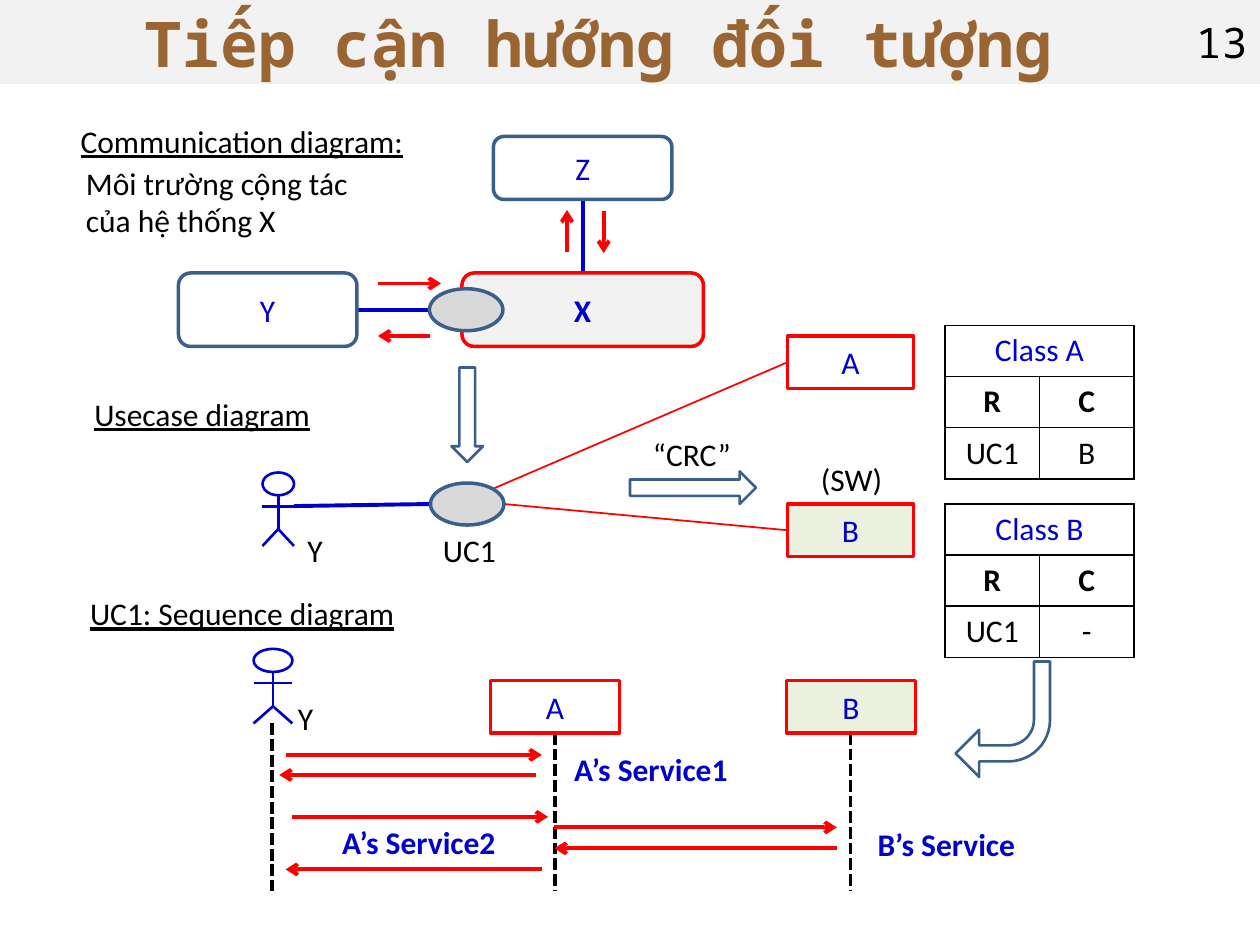
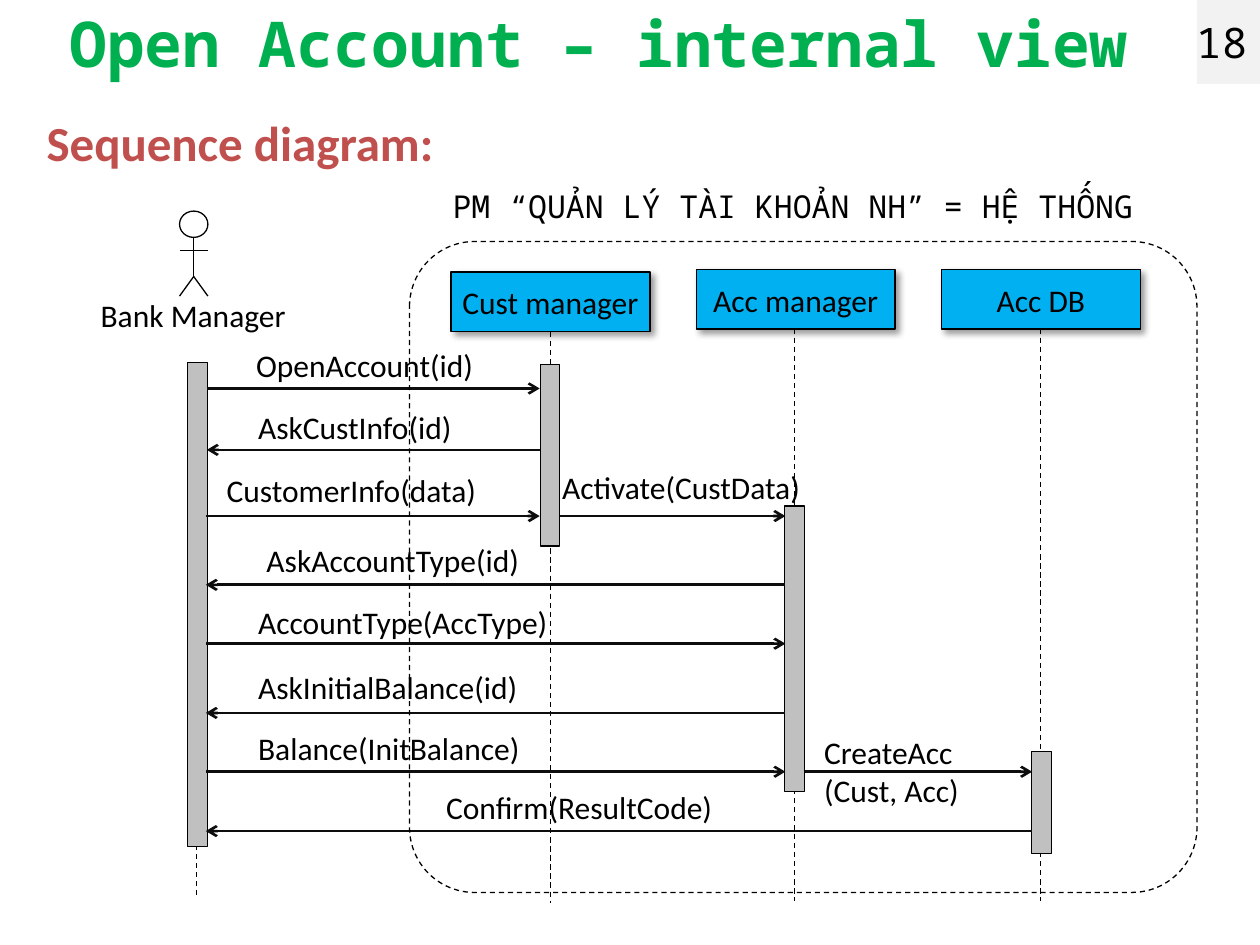
"""Build two slides on object-oriented analysis: a diagram overview and a sequence diagram."""
from lxml import etree
from pptx import Presentation
from pptx.dml.color import RGBColor
from pptx.enum.dml import MSO_LINE
from pptx.enum.shapes import MSO_CONNECTOR, MSO_SHAPE
from pptx.enum.text import MSO_ANCHOR, PP_ALIGN
from pptx.oxml.ns import qn
from pptx.util import Inches, Pt

RECT, ROUND, OVAL = MSO_SHAPE.RECTANGLE, MSO_SHAPE.ROUNDED_RECTANGLE, MSO_SHAPE.OVAL
DOWN, RIGHT, BENT = MSO_SHAPE.DOWN_ARROW, MSO_SHAPE.RIGHT_ARROW, MSO_SHAPE.BENT_ARROW
STRAIGHT = MSO_CONNECTOR.STRAIGHT
DASH, SHORT = MSO_LINE.DASH, MSO_LINE.SQUARE_DOT
LEFT, MID, CORE = PP_ALIGN.LEFT, PP_ALIGN.CENTER, MSO_ANCHOR.MIDDLE


class Theme:
    """Colours, fonts and sizes."""
    black, ink = RGBColor(0, 0, 0), RGBColor.from_string("0D0D0D")
    band, grey = RGBColor.from_string("F2F2F2"), RGBColor.from_string("D9D9D9")
    bar, sky = RGBColor.from_string("C0C0C0"), RGBColor.from_string("00B0F0")
    brown, green = RGBColor.from_string("996633"), RGBColor.from_string("00B050")
    blue, steel = RGBColor.from_string("0000CC"), RGBColor.from_string("3A5F8C")
    red, rust = RGBColor(255, 0, 0), RGBColor.from_string("C0504D")
    mint = RGBColor.from_string("EBF1DE")
    body, mono = "Calibri", "Noto Sans Mono"
    title, head, number, text = 36, 28, 24, 18
    hair, thin, mark, edge, bold = 0.75, 1, 1.5, 2, 2.25


CELL = Inches(1) / 12
COLS, ROWS = 120, 90
BAND = 8


def put(page, kind, box, text="", tone=Theme.black, fill=None, edge=None, wide=Theme.edge,
        size=Theme.text, font=Theme.body, bold=False, under=False, align=MID):
    """Place a shape, or a text box when kind is None; box is in grid cells."""
    x, y, w, h = (round(n * CELL) for n in box)
    if kind is None:
        item = page.shapes.add_textbox(x, y, w, h)
    else:
        item = page.shapes.add_shape(kind, x, y, w, h)
        item.shadow.inherit = False
        item.fill.background()
        if fill is not None:
            item.fill.solid()
            item.fill.fore_color.rgb = fill
        item.line.fill.background()
        if edge is not None:
            item.line.color.rgb = edge
            item.line.width = Pt(wide)
    if text:
        frame = item.text_frame
        frame.word_wrap = True
        if kind is not None:
            frame.margin_left = frame.margin_right = 0
            frame.vertical_anchor = CORE
        for i, words in enumerate(text.split("\n")):
            para = frame.add_paragraph() if i else frame.paragraphs[0]
            para.alignment = align
            run = para.add_run()
            run.text = words
            run.font.name, run.font.size = font, Pt(size)
            run.font.bold, run.font.underline = bold, under
            run.font.color.rgb = tone
    return item


def link(page, ends, tone, wide, dash=None, arrow=False):
    """Draw a line between two points given in grid cells."""
    line = page.shapes.add_connector(STRAIGHT, *(round(n * CELL) for n in ends))
    line.line.color.rgb = tone
    line.line.width = Pt(wide)
    if dash is not None:
        line.line.dash_style = dash
    props = line.element.spPr
    if arrow:
        etree.SubElement(props.find(qn("a:ln")), qn("a:tailEnd"), type="arrow")
    etree.SubElement(props, qn("a:effectLst"))


deck = Presentation()
deck.slide_width, deck.slide_height = round(COLS * CELL), round(ROWS * CELL)
blank = deck.slide_layouts[6]
plan, flow = (deck.slides.add_slide(blank) for _ in range(2))

for page, name, tone, fill, number in (
        (plan, "Tiếp cận hướng đối tượng", Theme.brown, Theme.band, "13"),
        (flow, "Open Account – internal view", Theme.green, None, "18")):
    put(page, RECT, (0, 0, COLS * 0.95, BAND), name, tone, fill,
        size=Theme.title, font=Theme.mono, bold=True)
    put(page, RECT, (COLS * 0.95, 0, COLS * 0.05, BAND), number, fill=Theme.band,
        size=Theme.number, font=Theme.mono, align=LEFT)

for page, x, y, w, h, tone, wide in (
        (plan, 25, 45, 3, 7, Theme.blue, Theme.mark),
        (plan, 24.15, 61.8, 3.7, 7.1, Theme.blue, Theme.mark),
        (flow, 17.1, 20.1, 2.7, 8.1, Theme.black, Theme.hair)):
    mid, neck, arm, hip = x + w / 2, y + 0.31 * h, y + 0.46 * h, y + 0.77 * h
    put(page, OVAL, (x, y, w, neck - y), edge=tone, wide=wide)
    for ends in ((mid, neck, mid, hip), (x, arm, x + w, arm),
                 (mid, hip, x, y + h), (mid, hip, x + w, y + h)):
        link(page, ends, tone, wide)

for ends in ((75, 34.5, 46.95, 46.55), (75, 50.5, 48, 48)):
    link(plan, ends, Theme.red, Theme.thin)
for ends in ((55.5, 19, 55.5, 26), (44, 29.5, 34, 29.5), (41, 48, 28, 48.2)):
    link(plan, ends, Theme.blue, Theme.bold)
for x, y in ((25.95, 68.9), (52.85, 69.8), (81, 69.8)):
    link(plan, (x, y, x, 84.85), Theme.black, Theme.bold, SHORT)

for kind, box, text, fill, edge in (
        (ROUND, (44, 26, 23, 7), "X", Theme.band, Theme.red),
        (ROUND, (47, 13, 17, 6), "Z", None, Theme.steel),
        (ROUND, (17, 26, 17, 7), "Y", None, Theme.steel),
        (OVAL, (40.9, 27.5, 7, 4), "", Theme.grey, Theme.steel),
        (OVAL, (41, 46, 7, 4), "", Theme.grey, Theme.steel),
        (RECT, (75, 32, 12, 5), "A", None, Theme.red),
        (RECT, (75, 48, 12, 5), "B", Theme.mint, Theme.red),
        (RECT, (46.7, 64.8, 12.3, 5), "A", None, Theme.red),
        (RECT, (74.9, 64.8, 12.3, 5), "B", Theme.mint, Theme.red)):
    put(plan, kind, box, text, Theme.blue, fill, edge, bold=text == "X")

for kind, box in ((DOWN, (43, 35, 3, 9)), (RIGHT, (60, 44.9, 12, 3.1)), (BENT, (91, 63, 9, 11))):
    item = put(plan, kind, box, edge=Theme.steel, wide=Theme.mark)
item.rotation = 180
for i, share in enumerate((0.17, 0.25, 0.25, 0.44)):
    item.adjustments[i] = share

for ends in ((36, 27, 42, 27), (41, 32, 36, 32), (54, 24, 54, 20), (57.5, 20.1, 57.5, 24.1),
             (27.2, 71.9, 51.6, 71.9), (51, 73.8, 26.6, 73.8), (27.8, 77.8, 52.2, 77.8),
             (52.8, 78.8, 79.7, 78.8), (79.7, 80.8, 52.8, 80.8), (51.6, 82.8, 27.2, 82.8)):
    link(plan, ends, Theme.red, Theme.bold, arrow=True)

for x, y, text in ((6.5, 11, "Communication diagram:"), (7.8, 37, "Usecase diagram"),
                   (7.4, 56, "UC1: Sequence diagram")):
    put(plan, None, (x, y, 36, 4.8), text, under=True, align=LEFT)
for x, y, w, text in ((7, 15, 29, "Môi trường cộng tác của hệ thống X"), (41, 50, 9, "UC1"),
                      (61, 40.8, 12, "“CRC”"), (77, 43.2, 10, "(SW)"),
                      (28.1, 50, 5, "Y"), (27.2, 66, 5, "Y")):
    put(plan, None, (x, y, w, 4.8), text, align=LEFT)
for x, y, text in ((53.5, 70.8, "A’s Service1"), (31.4, 77.8, "A’s Service2"),
                   (82.4, 78, "B’s Service")):
    put(plan, None, (x, y, 20, 4.8), text, Theme.blue, bold=True, align=LEFT)

for y, name, aid in ((31, "Class A", "B"), (48, "Class B", "-")):
    rows = ((name, ""), ("R", "C"), ("UC1", aid))
    grid = plan.shapes.add_table(3, 2, *(round(n * CELL) for n in (90, y, 18, 14.6))).table
    grid.first_row = grid.horz_banding = False
    grid.cell(0, 0).merge(grid.cell(0, 1))
    for r, row in enumerate(rows):
        for c, text in enumerate(row):
            cell = grid.cell(r, c)
            props = cell._tc.get_or_add_tcPr()
            for side in ("lnL", "lnR", "lnT", "lnB"):
                rule = etree.SubElement(props, qn("a:" + side), w=str(Pt(Theme.thin)))
                paint = etree.SubElement(rule, qn("a:solidFill"))
                etree.SubElement(paint, qn("a:srgbClr"), val=str(Theme.black))
            cell.fill.background()
            if text:
                para = cell.text_frame.paragraphs[0]
                para.alignment = MID
                run = para.add_run()
                run.text = text
                run.font.name, run.font.size = Theme.body, Pt(Theme.text)
                run.font.bold = r == 1
                run.font.color.rgb = Theme.black if r else Theme.blue

for x, top, end in ((18.75, 34.9, 85.3), (52.4, 31.6, 86), (75.7, 31.3, 85.8), (99.1, 31.3, 85.8)):
    link(flow, (x, top, x, end), Theme.black, Theme.hair, DASH)
for box in ((17.85, 34.5, 1.9, 46.1), (51.5, 34.7, 1.8, 17.3),
            (74.75, 48.2, 1.9, 27.2), (98.25, 71.6, 1.9, 9.7)):
    put(flow, RECT, box, fill=Theme.bar, edge=Theme.black, wide=Theme.hair)

for i, (name, y) in enumerate((("Cust manager", 25.9), ("Acc manager", 25.7), ("Acc DB", 25.7))):
    item = put(flow, RECT, (42.95 + 23.35 * i, y, 18.95, 5.65), name, fill=Theme.sky,
               edge=Theme.black, wide=Theme.hair)
    glow = etree.SubElement(item.element.spPr.find(qn("a:effectLst")), qn("a:outerShdw"),
                            blurRad=str(Pt(4)), dist=str(Pt(3)), dir="2700000",
                            algn="tl", rotWithShape="0")
    shade = etree.SubElement(glow, qn("a:srgbClr"), val=str(Theme.black))
    etree.SubElement(shade, qn("a:alpha"), val="40000")

for text, x, y, start, end, row in (
        ("OpenAccount(id)", 23.2, 32.4, 19.7, 51.4, 37),
        ("AskCustInfo(id)", 23.4, 38.3, 51.4, 19.7, 42.85),
        ("CustomerInfo(data)", 20.4, 44.3, 19.6, 51.4, 49.15),
        ("Activate(CustData)", 52.35, 44, 53.3, 74.8, 49.15),
        ("AskAccountType(id)", 24.2, 50.9, 74.8, 19.6, 55.7),
        ("AccountType(AccType)", 23.4, 56.8, 19.6, 74.8, 61.3),
        ("AskInitialBalance(id)", 23.4, 63, 74.8, 19.6, 67.9),
        ("Balance(InitBalance)", 23.4, 68.8, 19.6, 74.8, 73.5),
        ("CreateAcc\n(Cust, Acc)", 77.3, 69.2, 76.7, 98.3, 73.5),
        ("Confirm(ResultCode)", 41.3, 74.5, 98.3, 19.6, 79.15)):
    put(flow, None, (x, y, 34, 4.8), text, align=LEFT)
    link(flow, (start, row, end, row), Theme.ink, Theme.mark, arrow=True)

put(flow, None, (8.4, 27.6, 22.4, 4.8), "Bank Manager", align=LEFT)
put(flow, None, (3, 10.1, 39.7, 6.8), "Sequence diagram:", Theme.rust, size=Theme.head, bold=True)
scope = put(flow, ROUND, (39, 23, 75, 62), edge=Theme.black, wide=Theme.hair)
scope.line.dash_style = DASH
scope.adjustments[0] = 0.1
put(flow, None, (41, 17.2, 69, 4.8), "PM “QUẢN LÝ TÀI KHOẢN NH” = HỆ THỐNG", font=Theme.mono)

deck.save("out.pptx")
